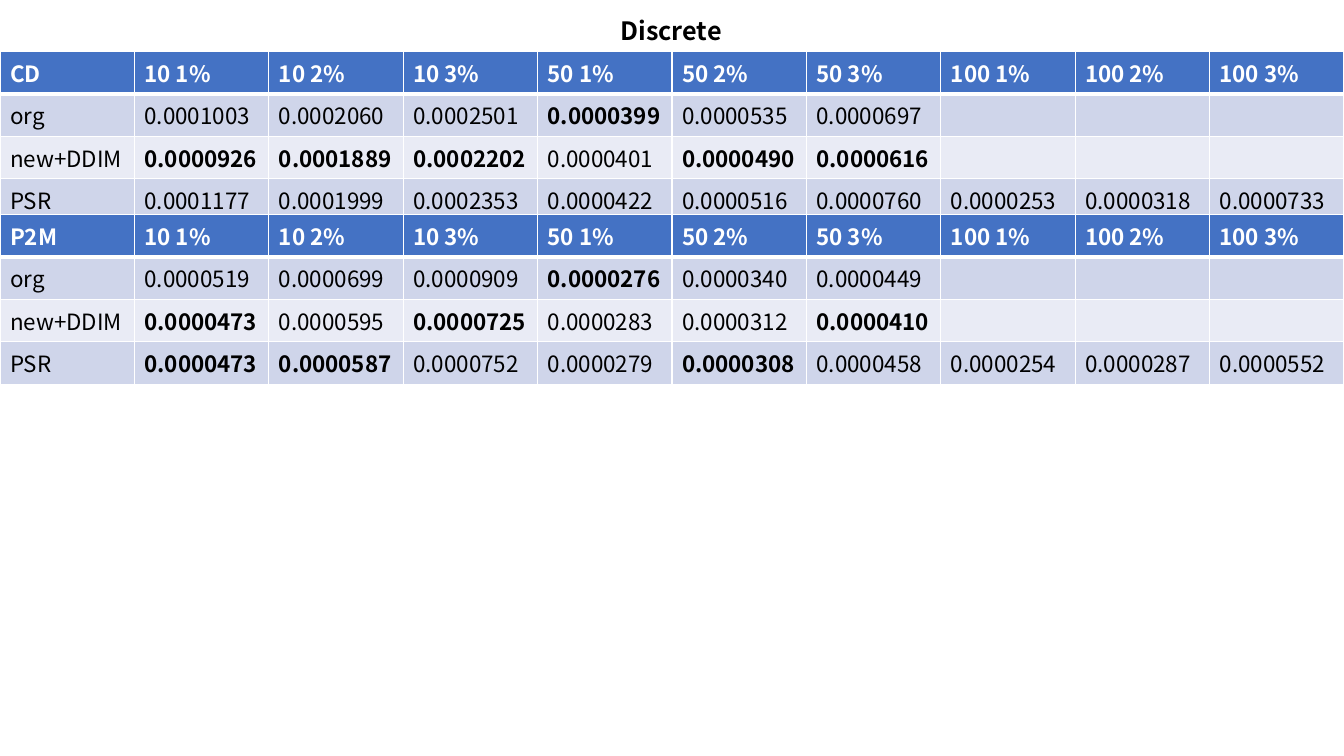
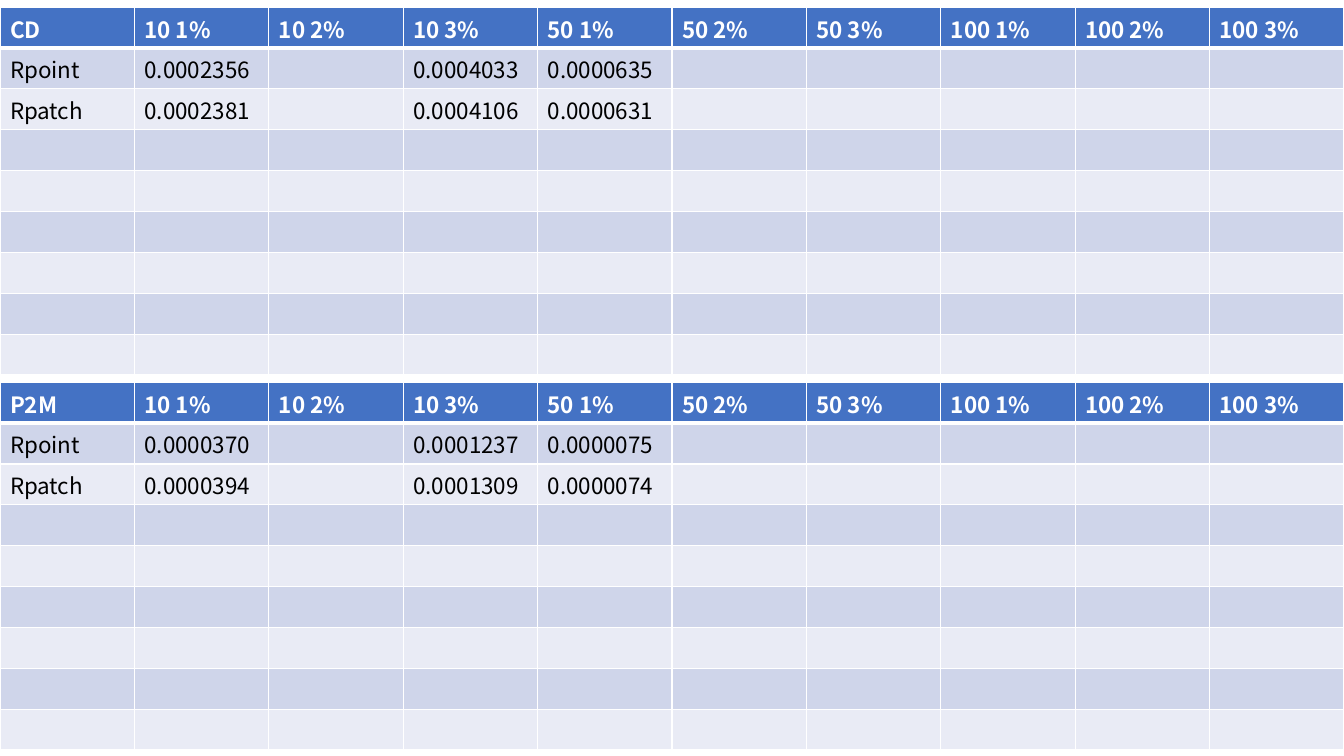
from dataclasses import dataclass
from itertools import product

from lxml import etree
from pptx import Presentation
from pptx import util as u
from pptx.dml import color as c
from pptx.enum import text as t
from pptx.oxml import ns


@dataclass(frozen=True)
class Theme:
    font: str = "Noto Sans CJK SC"
    head: str = "4472C4"
    odd: str = "CFD5EA"
    even: str = "E9EBF5"
    white: str = "FFFFFF"
    black: str = "000000"
    title: int = 18
    body: int = 16
    thin: int = 1
    thick: int = 3


@dataclass(frozen=True)
class Grid:
    """A score table: "*" marks a best value, "-" an empty cell."""
    name: str
    top: float
    rows: tuple[str, ...]
    count: int = 3


@dataclass(frozen=True)
class Page:
    grids: tuple[Grid, ...]
    title: str = ""


LOOK = Theme()
WIDE, HIGH = u.Cm(33.87), u.Cm(19.05)
ROW = u.Cm(1.03)
HEADS = [f"{size} {noise}%" for size, noise in product((10, 50, 100), (1, 2, 3))]

# Scores by slide
PAGES = (
    Page(title="Discrete", grids=(
        Grid("CD", 1.3, (
            "org 0.0001003 0.0002060 0.0002501 *0.0000399 0.0000535 0.0000697",
            "new+DDIM *0.0000926 *0.0001889 *0.0002202 0.0000401 *0.0000490 *0.0000616",
            "PSR 0.0001177 0.0001999 0.0002353 0.0000422 0.0000516 0.0000760"
            " 0.0000253 0.0000318 0.0000733",
        )),
        Grid("P2M", 5.41, (
            "org 0.0000519 0.0000699 0.0000909 *0.0000276 0.0000340 0.0000449",
            "new+DDIM *0.0000473 0.0000595 *0.0000725 0.0000283 0.0000312 *0.0000410",
            "PSR *0.0000473 *0.0000587 0.0000752 0.0000279 *0.0000308 0.0000458"
            " 0.0000254 0.0000287 0.0000552",
        )),
    )),
    Page(grids=(
        Grid("CD", 0.18, (
            "Rpoint 0.0002356 - 0.0004033 0.0000635",
            "Rpatch 0.0002381 - 0.0004106 0.0000631",
        ), count=8),
        Grid("P2M", 9.63, (
            "Rpoint 0.0000370 - 0.0001237 0.0000075",
            "Rpatch 0.0000394 - 0.0001309 0.0000074",
        ), count=8),
    )),
)


def write(frame, text: str, *, size: int = LOOK.body, color: str = LOOK.black,
          bold: bool = False, align=None) -> None:
    """Fill a text frame; an empty one still keeps its line height."""
    para = frame.paragraphs[0]
    para.alignment = align
    if not text:
        end = etree.SubElement(para._p, ns.qn("a:endParaRPr"), sz=str(size * 100))
        etree.SubElement(end, ns.qn("a:latin"), typeface=LOOK.font)
        return
    run = para.add_run()
    run.text = text
    run.font.name, run.font.size, run.font.bold = LOOK.font, u.Pt(size), bold
    run.font.color.rgb = c.RGBColor.from_string(color)


def edge(cell, base: int) -> None:
    """Draw white lines round a cell, the lower one of the given width."""
    props = cell._tc.get_or_add_tcPr()
    for side, width in zip("LRTB", (LOOK.thin, LOOK.thin, LOOK.thin, base)):
        line = etree.SubElement(props, ns.qn(f"a:ln{side}"), w=str(u.Pt(width)))
        fill = etree.SubElement(line, ns.qn("a:solidFill"))
        etree.SubElement(fill, ns.qn("a:srgbClr"), val=LOOK.white)


def paint(cell, text: str, row: int) -> None:
    """Style one cell by its row; row 0 is the header."""
    head = row == 0
    edge(cell, LOOK.thick if head else LOOK.thin)
    cell.fill.solid()
    tint = LOOK.head if head else LOOK.odd if row % 2 else LOOK.even
    cell.fill.fore_color.rgb = c.RGBColor.from_string(tint)
    write(cell.text_frame, text.strip("*-"), bold=head or text.startswith("*"),
          color=LOOK.white if head else LOOK.black)


def draw(slide, grid: Grid) -> None:
    """Place one full-width table."""
    lines = [[grid.name, *HEADS], *(row.split() for row in grid.rows)]
    rows, cols = grid.count + 1, len(HEADS) + 1
    table = slide.shapes.add_table(rows, cols, 0, u.Cm(grid.top), WIDE, ROW * rows).table
    for row in table.rows:
        row.height = ROW
    for row, col in product(range(rows), range(cols)):
        line = lines[row] if row < len(lines) else []
        paint(table.cell(row, col), line[col] if col < len(line) else "", row)


def label(slide, text: str) -> None:
    """Place the centred slide title."""
    wide = u.Cm(10.06)
    box = slide.shapes.add_textbox((WIDE - wide) // 2 - u.Cm(0.02), u.Cm(0.25),
                                   wide, u.Cm(1.03))
    frame = box.text_frame
    frame.word_wrap = True
    frame.auto_size = t.MSO_AUTO_SIZE.SHAPE_TO_FIT_TEXT
    write(frame, text, size=LOOK.title, bold=True, align=t.PP_ALIGN.CENTER)


def main() -> None:
    deck = Presentation()
    deck.slide_width, deck.slide_height = WIDE, HIGH
    for page in PAGES:
        slide = deck.slides.add_slide(deck.slide_layouts[6])
        for grid in page.grids:
            draw(slide, grid)
        if page.title:
            label(slide, page.title)
    deck.save("out.pptx")


if __name__ == "__main__":
    main()
